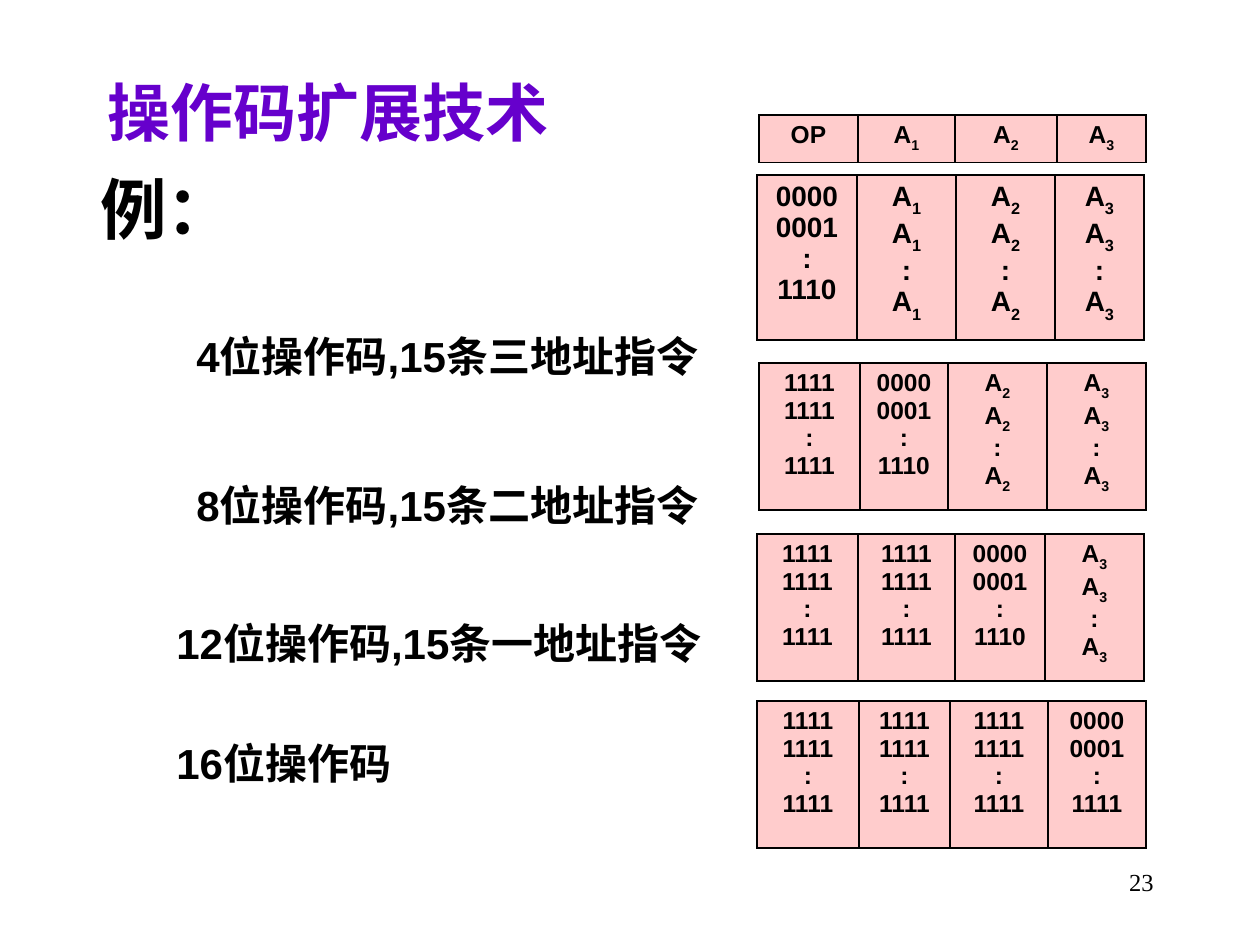
from lxml.etree import SubElement
from pptx import Presentation
from pptx.dml.color import RGBColor
from pptx.enum.text import MSO_ANCHOR, PP_ALIGN
from pptx.oxml.ns import qn
from pptx.util import Emu, Pt

PX = 914400 / 126
BLACK = RGBColor(0x00, 0x00, 0x00)
PURPLE = RGBColor(0x66, 0x00, 0xCC)
PINK = RGBColor(0xFF, 0xCC, 0xCC)
SERIF, SANS = "Times New Roman", "Arial"

# Cell contents, one line per word
HIGH = "1111 1111 : 1111"
LOW = "0000 0001 : 1110"
LAST = "0000 0001 : 1111"
A1, A2, A3 = (f"A{n} A{n} : A{n}" for n in (1, 2, 3))


def px(length):
    return Emu(round(length * PX))


class SlideBuilder:
    def __init__(self, page):
        self.page = page

    def style(self, paragraph, font, size, color=BLACK, bold=True, align=PP_ALIGN.LEFT):
        paragraph.alignment = align
        paragraph.font.name = font
        paragraph.font.size = Pt(size)
        paragraph.font.bold = bold
        paragraph.font.color.rgb = color

    def text(self, words, left, top, width, height, font, size,
             anchor=MSO_ANCHOR.MIDDLE, **look):
        box = self.page.shapes.add_textbox(px(left), px(top), px(width), px(height))
        frame = box.text_frame
        frame.word_wrap = True
        frame.vertical_anchor = anchor
        paragraph = frame.paragraphs[0]
        paragraph.text = words
        self.style(paragraph, font, size, **look)

    def borders(self, cell):
        properties = cell._tc.get_or_add_tcPr()
        for side in ("a:lnL", "a:lnR", "a:lnT", "a:lnB"):
            line = SubElement(properties, qn(side), w=str(Pt(1)))
            fill = SubElement(line, qn("a:solidFill"))
            SubElement(fill, qn("a:srgbClr"), val=str(BLACK))

    def cell(self, cell, words, size):
        self.borders(cell)
        cell.fill.solid()
        cell.fill.fore_color.rgb = PINK
        frame = cell.text_frame
        for index, word in enumerate(words.split()):
            para = frame.add_paragraph() if index else frame.paragraphs[0]
            self.style(para, SANS, size, align=PP_ALIGN.CENTER)
            # Addresses carry a subscript number
            if word[0] == "A":
                para.add_run().text = "A"
                span = para.add_run()
                span.text = word[1:]
                span._r.get_or_add_rPr().set("baseline", "-30000")
            else:
                para.add_run().text = word

    def table(self, left, top, height, widths, contents, size=14):
        frame = self.page.shapes.add_table(
            1, len(widths), px(left), px(top), px(sum(widths)), px(height))
        table = frame.table
        table.first_row = table.horz_banding = False
        table.rows[0].height = px(height)
        for column, width in enumerate(widths):
            table.columns[column].width = px(width)
            self.cell(table.cell(0, column), contents[column], size)


def main():
    deck = Presentation()
    deck.slide_width, deck.slide_height = px(1260), px(945)
    slide = SlideBuilder(deck.slides.add_slide(deck.slide_layouts[6]))

    # Headings
    slide.text("操作码扩展技术", 95, 66, 1071, 91, SERIF, 36, color=PURPLE)
    slide.text("例：", 88, 178, 581, 59, SERIF, 38)

    # Opcode lengths
    for words, left, top, width in (
        ("4位操作码,15条三地址指令", 184, 324, 529),
        ("8位操作码,15条二地址指令", 184, 473, 553),
        ("12位操作码,15条一地址指令", 164, 611, 553),
        ("16位操作码", 164, 731, 253),
    ):
        slide.text(words, left, top, width, 63, SANS, 24)

    # Instruction formats
    slide.table(759, 115, 47, (99, 97, 102, 89), ("OP", "A1", "A2", "A3"))
    slide.table(757, 175, 164, (100, 99, 99, 89), (LOW, A1, A2, A3), size=16)
    slide.table(759, 363, 147, (101, 88, 99, 99), (HIGH, LOW, A2, A3))
    slide.table(757, 534, 147, (101, 97, 90, 99), (HIGH, HIGH, LOW, A3))
    slide.table(757, 701, 147, (102, 91, 98, 98), (HIGH, HIGH, HIGH, LAST))

    # Page number
    slide.text("23", 904, 861, 262, 63, SERIF, 14, anchor=MSO_ANCHOR.TOP,
               bold=False, align=PP_ALIGN.RIGHT)

    deck.save("out.pptx")


if __name__ == "__main__":
    main()
